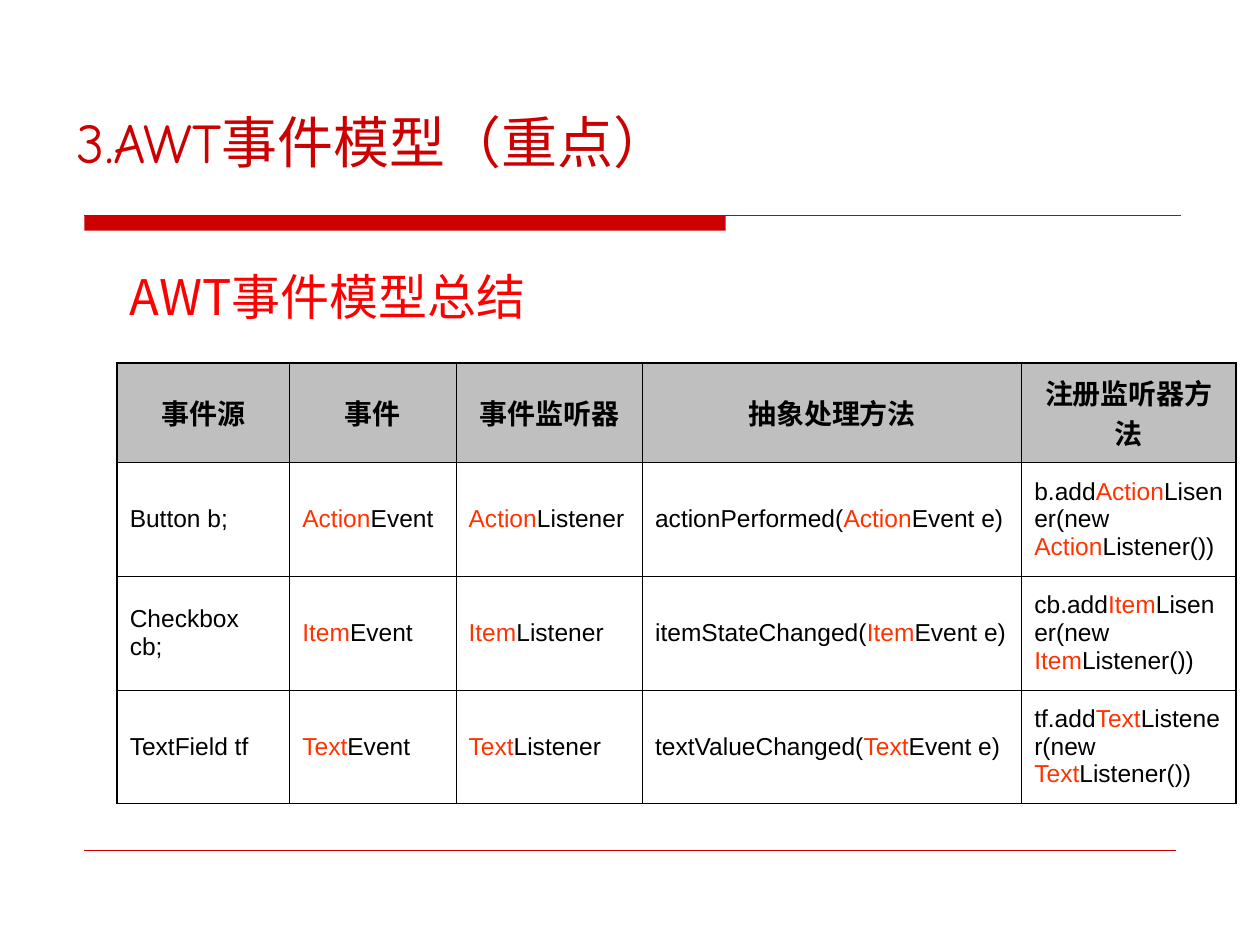
from dataclasses import dataclass

from lxml import etree
from pptx import Presentation
from pptx.dml.color import RGBColor
from pptx.enum.shapes import MSO_CONNECTOR, MSO_SHAPE
from pptx.enum.text import MSO_ANCHOR, MSO_AUTO_SIZE, PP_ALIGN
from pptx.oxml.ns import qn
from pptx.util import Pt

STRAIGHT = MSO_CONNECTOR.STRAIGHT
RECTANGLE = MSO_SHAPE.RECTANGLE
BOTTOM, MIDDLE, TOP = MSO_ANCHOR.BOTTOM, MSO_ANCHOR.MIDDLE, MSO_ANCHOR.TOP
NO_FIT = MSO_AUTO_SIZE.NONE
LEFT, CENTER = PP_ALIGN.LEFT, PP_ALIGN.CENTER

HEADERS = ["事件源", "事件", "事件监听器", "抽象处理方法", "注册监听器方法"]
EVENTS = [
    ("Button b;", "Action", "actionPerformed", "b", "Lisener"),
    ("Checkbox cb;", "Item", "itemStateChanged", "cb", "Lisener"),
    ("TextField tf", "Text", "textValueChanged", "tf", "Listener"),
]
COLUMN_WIDTHS = [98.64, 95.04, 106.56, 216.72, 122.4]
ROW_HEIGHTS = [56.88, 65, 65, 65]


@dataclass(frozen=True)
class Theme:
    accent: str = "CC0000"
    subtitle: str = "FF0000"
    highlight: str = "FF3300"
    text: str = "000000"
    header_fill: str = "BFBFBF"
    title_font: str = "Comic Neue"
    chinese_font: str = "Noto Sans CJK SC"
    table_font: str = "Arial"
    title_size: float = 32
    subtitle_size: float = 28
    header_size: float = 16
    body_size: float = 14
    outer_border: float = 1.08
    inner_border: float = 0.45


class SlideBuilder:
    """Draws styled elements on the current slide."""

    def __init__(self, slide, theme):
        self.slide = slide
        self.theme = theme

    def style(self, paragraph, font_name, size, color, bold=False, align=LEFT):
        paragraph.alignment = align
        font = paragraph.font
        font.name, font.size, font.bold = font_name, Pt(size), bold
        font.color.rgb = RGBColor.from_string(color)
        east_asian = etree.Element(qn("a:ea"), typeface=self.theme.chinese_font)
        font._element.find(qn("a:latin")).addnext(east_asian)

    def set_text(self, shape, text, anchor, *style):
        frame = shape.text_frame
        frame.word_wrap = True
        frame.auto_size = NO_FIT
        frame.vertical_anchor = anchor
        frame.text = text
        self.style(frame.paragraphs[0], *style)

    def title(self, text, left, top, width, height):
        heading = self.slide.shapes.title
        heading.left, heading.top = Pt(left), Pt(top)
        heading.width, heading.height = Pt(width), Pt(height)
        theme = self.theme
        self.set_text(heading, text, BOTTOM, theme.title_font, theme.title_size, theme.accent)

    def subtitle(self, text, left, top, width, height):
        box = self.slide.shapes.add_textbox(Pt(left), Pt(top), Pt(width), Pt(height))
        theme = self.theme
        self.set_text(box, text, TOP, theme.chinese_font, theme.subtitle_size, theme.subtitle)

    def bar(self, left, top, width, height):
        block = self.slide.shapes.add_shape(RECTANGLE, Pt(left), Pt(top), Pt(width), Pt(height))
        block.shadow.inherit = False
        block.fill.solid()
        block.fill.fore_color.rgb = RGBColor.from_string(self.theme.accent)
        block.line.fill.background()

    def rule(self, left, right, y, weight):
        line = self.slide.shapes.add_connector(STRAIGHT, Pt(left), Pt(y), Pt(right), Pt(y))
        line.line.color.rgb = RGBColor.from_string(self.theme.accent)
        line.line.width = Pt(weight)
        etree.SubElement(line._element.spPr, qn("a:effectLst"))

    def borders(self, cell, outer_sides):
        properties = cell._tc.get_or_add_tcPr()
        for side in "LRTB":
            weight = self.theme.outer_border if side in outer_sides else self.theme.inner_border
            border = etree.SubElement(properties, qn(f"a:ln{side}"), w=str(int(Pt(weight))))
            fill = etree.SubElement(border, qn("a:solidFill"))
            etree.SubElement(fill, qn("a:srgbClr"), val=self.theme.text)

    def cell(self, cell, marked_text, is_header):
        theme = self.theme
        cell.vertical_anchor = MIDDLE
        paragraph = cell.text_frame.paragraphs[0]
        for index, part in enumerate(marked_text.split("*")):
            if part:
                run = paragraph.add_run()
                run.text = part
                if index % 2:
                    run.font.color.rgb = RGBColor.from_string(theme.highlight)
        size = theme.header_size if is_header else theme.body_size
        align = CENTER if is_header else LEFT
        self.style(paragraph, theme.table_font, size, theme.text, is_header, align)
        if is_header:
            cell.fill.solid()
            cell.fill.fore_color.rgb = RGBColor.from_string(theme.header_fill)
        else:
            cell.fill.background()

    def table(self, rows, left, top, widths, heights):
        frame = self.slide.shapes.add_table(
            len(rows), len(widths), Pt(left), Pt(top), Pt(sum(widths)), Pt(sum(heights)))
        grid = frame.table
        grid.first_row = grid.horz_banding = False
        for column, width in zip(grid.columns, widths):
            column.width = Pt(width)
        for row, height in zip(grid.rows, heights):
            row.height = Pt(height)
        last = len(widths) - 1
        for r, texts in enumerate(rows):
            for c, text in enumerate(texts):
                outer = ("T" if r == 0 else "") + {0: "L", last: "R"}.get(c, "")
                self.borders(grid.cell(r, c), outer)
                self.cell(grid.cell(r, c), text, r == 0)


def event_row(source, event, handler, variable, registered):
    return [
        source,
        f"*{event}*Event",
        f"*{event}*Listener",
        f"{handler}(*{event}*Event e)",
        f"{variable}.add*{event}*{registered}(new *{event}*Listener())",
    ]


def main():
    deck = Presentation()
    deck.slide_width, deck.slide_height = Pt(720), Pt(540)
    builder = SlideBuilder(deck.slides.add_slide(deck.slide_layouts[5]), Theme())
    builder.bar(48.24, 123.12, 366.48, 8.64)
    builder.rule(48.24, 674.64, 123.12, 0.75)
    builder.rule(48.24, 671.76, 486, 0.25)
    builder.title("3.AWT事件模型（重点）", 36.72, 37.44, 612, 66.24)
    builder.subtitle("AWT事件模型总结", 66.96, 149.04, 486, 41.04)
    rows = [HEADERS] + [event_row(*event) for event in EVENTS]
    builder.table(rows, 66.96, 207.36, COLUMN_WIDTHS, ROW_HEIGHTS)
    deck.save("out.pptx")


if __name__ == "__main__":
    main()
